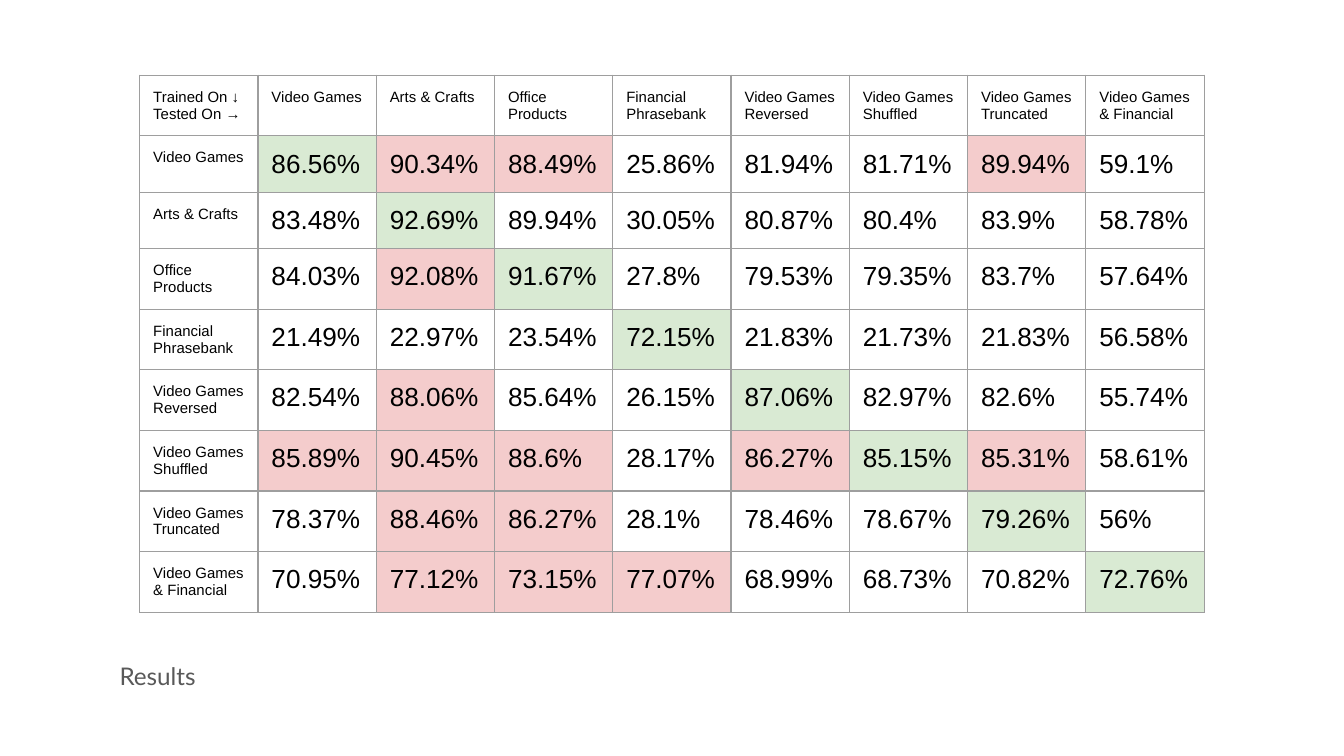
"""Build the results slide: accuracy of each trained model on each test set."""
from dataclasses import dataclass

from lxml.etree import SubElement
from pptx import Presentation
from pptx.dml.color import RGBColor
from pptx.enum.text import MSO_ANCHOR
from pptx.oxml.ns import qn
from pptx.util import Inches, Pt

WHITE, GREEN, RED = "FFFFFF", "D9EAD3", "F4CCCC"
BLACK, CAPTION_GREY, BORDER_GREY = "000000", "595959", "9E9E9E"
COLUMN_WIDTH, ROW_HEIGHT, MARGIN = 0.88, 0.42, 0.1
LABEL_SIZE, SCORE_SIZE = 8, 14


@dataclass
class Result:
    dataset: str
    scores: tuple[float, ...]


RESULTS = [
    Result("Video Games", (86.56, 90.34, 88.49, 25.86, 81.94, 81.71, 89.94, 59.1)),
    Result("Arts & Crafts", (83.48, 92.69, 89.94, 30.05, 80.87, 80.4, 83.9, 58.78)),
    Result("Office Products", (84.03, 92.08, 91.67, 27.8, 79.53, 79.35, 83.7, 57.64)),
    Result("Financial Phrasebank", (21.49, 22.97, 23.54, 72.15, 21.83, 21.73, 21.83, 56.58)),
    Result("Video Games\nReversed", (82.54, 88.06, 85.64, 26.15, 87.06, 82.97, 82.6, 55.74)),
    Result("Video Games\nShuffled", (85.89, 90.45, 88.6, 28.17, 86.27, 85.15, 85.31, 58.61)),
    Result("Video Games\nTruncated", (78.37, 88.46, 86.27, 28.1, 78.46, 78.67, 79.26, 56)),
    Result("Video Games\n& Financial", (70.95, 77.12, 73.15, 77.07, 68.99, 68.73, 70.82, 72.76)),
]


def color(value: str) -> RGBColor:
    return RGBColor.from_string(value)


def set_margins(target) -> None:
    target.margin_left = target.margin_right = Inches(MARGIN)
    target.margin_top = target.margin_bottom = Inches(MARGIN)


def style_text(text_frame, size: float, font_name: str, font_color: str) -> None:
    for paragraph in text_frame.paragraphs:
        paragraph.space_before = Pt(0)
        paragraph.font.size = Pt(size)
        paragraph.font.name = font_name
        paragraph.font.bold = False
        paragraph.font.color.rgb = color(font_color)


def add_borders(cell) -> None:
    properties = cell._tc.get_or_add_tcPr()
    for side in ("a:lnL", "a:lnR", "a:lnT", "a:lnB"):
        line = SubElement(properties, qn(side), w=str(Pt(0.75)))
        SubElement(SubElement(line, qn("a:solidFill")), qn("a:srgbClr"), val=BORDER_GREY)


def fill_cell(cell, text: str, size: float, background: str = WHITE) -> None:
    cell.text = text
    set_margins(cell)
    style_text(cell.text_frame, size, "Arial", BLACK)
    add_borders(cell)
    cell.fill.solid()
    cell.fill.fore_color.rgb = color(background)


def score_background(scores: tuple[float, ...], tested: int, trained: int) -> str:
    """Mark the matching dataset green and any score that beats it red."""
    if tested == trained:
        return GREEN
    return RED if scores[tested] > scores[trained] else WHITE


def add_results_table(slide, results: list[Result]) -> None:
    count = len(results) + 1
    table = slide.shapes.add_table(
        count, count, Inches(1.04), Inches(0.56),
        Inches(COLUMN_WIDTH * count), Inches(ROW_HEIGHT * count),
    ).table
    table.first_row = table.horz_banding = False
    for column in table.columns:
        column.width = Inches(COLUMN_WIDTH)
    for row in table.rows:
        row.height = Inches(ROW_HEIGHT)

    fill_cell(table.cell(0, 0), "Trained On ↓\nTested On →", LABEL_SIZE)
    for trained, result in enumerate(results):
        fill_cell(table.cell(0, trained + 1), result.dataset, LABEL_SIZE)
        fill_cell(table.cell(trained + 1, 0), result.dataset.replace("\n", " "), LABEL_SIZE)
        for tested, score in enumerate(result.scores):
            fill_cell(
                table.cell(trained + 1, tested + 1), f"{score:g}%", SCORE_SIZE,
                score_background(result.scores, tested, trained),
            )


def add_caption(slide, text: str) -> None:
    caption = slide.placeholders[1]
    caption.left, caption.top = Inches(0.79), Inches(4.78)
    caption.width, caption.height = Inches(8.42), Inches(0.5)
    caption.text = text
    caption.text_frame.vertical_anchor = MSO_ANCHOR.MIDDLE
    set_margins(caption.text_frame)
    style_text(caption.text_frame, 13, "Lato", CAPTION_GREY)


def main() -> None:
    presentation = Presentation()
    presentation.slide_width = Inches(10)
    presentation.slide_height = presentation.slide_width * 9 // 16
    slide = presentation.slides.add_slide(presentation.slide_layouts.get_by_name("Section Header"))
    empty_title = slide.shapes.title.element
    empty_title.getparent().remove(empty_title)
    add_caption(slide, "Results")
    add_results_table(slide, RESULTS)
    presentation.save("out.pptx")


if __name__ == "__main__":
    main()
